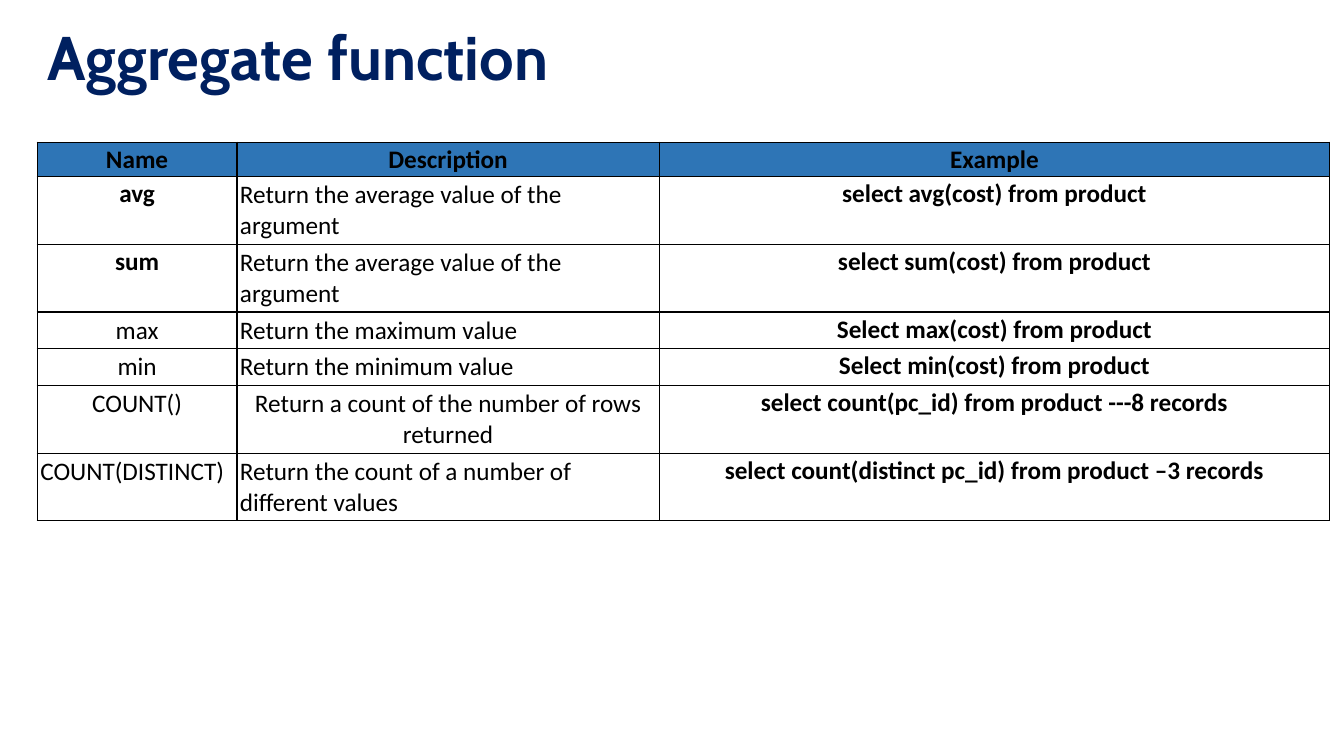
import pptx
import pptx.util
import pptx.dml.color
import pptx.enum.text
import lxml.etree

Pt = pptx.util.Pt
Align = pptx.enum.text.PP_ALIGN
Anchor = pptx.enum.text.MSO_ANCHOR
NS = "http://schemas.openxmlformats.org/drawingml/2006/main"
HUES = {"navy": "002060", "blue": "2E75B6", "white": "FFFFFF", "black": "000000"}

COLS = (142.6, 301.7, 478.8)
ROW = 12.24
ROWS = [
    ("Name", "Description", "Example"),
    ("avg", "Return the average value of the argument", "select avg(cost) from product"),
    ("sum", "Return the average value of the argument", "select sum(cost) from product"),
    ("max", "Return the maximum value", "Select max(cost) from product"),
    ("min", "Return the minimum value", "Select min(cost) from product"),
    ("COUNT()", "Return a count of the number of rows returned",
     "select count(pc_id) from product ---8 records"),
    ("COUNT(DISTINCT)", "Return the count of a number of different values",
     "select count(distinct pc_id) from product –3 records"),
]
BOLD = {"avg", "sum"}
LEFT = {"COUNT(DISTINCT)"}
MID = {"COUNT()"}


def hue(name):
    return pptx.dml.color.RGBColor.from_string(HUES[name])


def style(para, face, size, tint, bold):
    font = para.font
    font.name, font.size, font.bold = face, Pt(size), bold
    font.color.rgb = hue(tint)


def rule(cell):
    """Draw a thin black border on all four sides of a cell."""
    props = cell._tc.get_or_add_tcPr()
    for side in ("lnL", "lnR", "lnT", "lnB"):
        line = lxml.etree.SubElement(props, f"{{{NS}}}{side}", w=str(Pt(1)))
        fill = lxml.etree.SubElement(line, f"{{{NS}}}solidFill")
        lxml.etree.SubElement(fill, f"{{{NS}}}srgbClr", val=HUES["black"])


def fill_cell(cell, text, bold, align, back):
    rule(cell)
    cell.fill.solid()
    cell.fill.fore_color.rgb = hue(back)
    side, edge = (2.88, 1.44) if bold else (2.16, 2.16)
    cell.margin_left = cell.margin_right = Pt(side)
    cell.margin_top = cell.margin_bottom = Pt(edge)
    cell.text = text
    para = cell.text_frame.paragraphs[0]
    para.alignment = align
    style(para, "Calibri", 18, "black", bold)


def add_title(slide, x, y, w, h):
    title = slide.shapes.title
    title.left, title.top, title.width, title.height = Pt(x), Pt(y), Pt(w), Pt(h)
    frame = title.text_frame
    frame.text = "Aggregate function"
    frame.vertical_anchor = Anchor.MIDDLE
    para = frame.paragraphs[0]
    para.alignment = Align.LEFT
    para.line_spacing = 0.9
    style(para, "Cabin", 44, "navy", True)


def add_grid(slide, x, y):
    grid = slide.shapes.add_table(len(ROWS), len(COLS), Pt(x), Pt(y),
                                  Pt(sum(COLS)), Pt(ROW * len(ROWS))).table
    for col, width in zip(grid.columns, COLS):
        col.width = Pt(width)
    for r, texts in enumerate(ROWS):
        grid.rows[r].height = Pt(ROW)
        name, head = texts[0], r == 0
        for c, text in enumerate(texts):
            bold = head or c == 2 or text in BOLD
            left = text in LEFT or (c == 1 and not head and name not in MID)
            fill_cell(grid.cell(r, c), text, bold,
                      Align.LEFT if left else Align.CENTER,
                      "blue" if head else "white")


def main():
    deck = pptx.Presentation()
    deck.slide_width, deck.slide_height = Pt(960), Pt(540)
    slide = deck.slides.add_slide(deck.slide_layouts[5])
    add_title(slide, 26.64, 11.5, 890, 64)
    add_grid(slide, 26.64, 101.5)
    deck.save("out.pptx")


if __name__ == "__main__":
    main()
